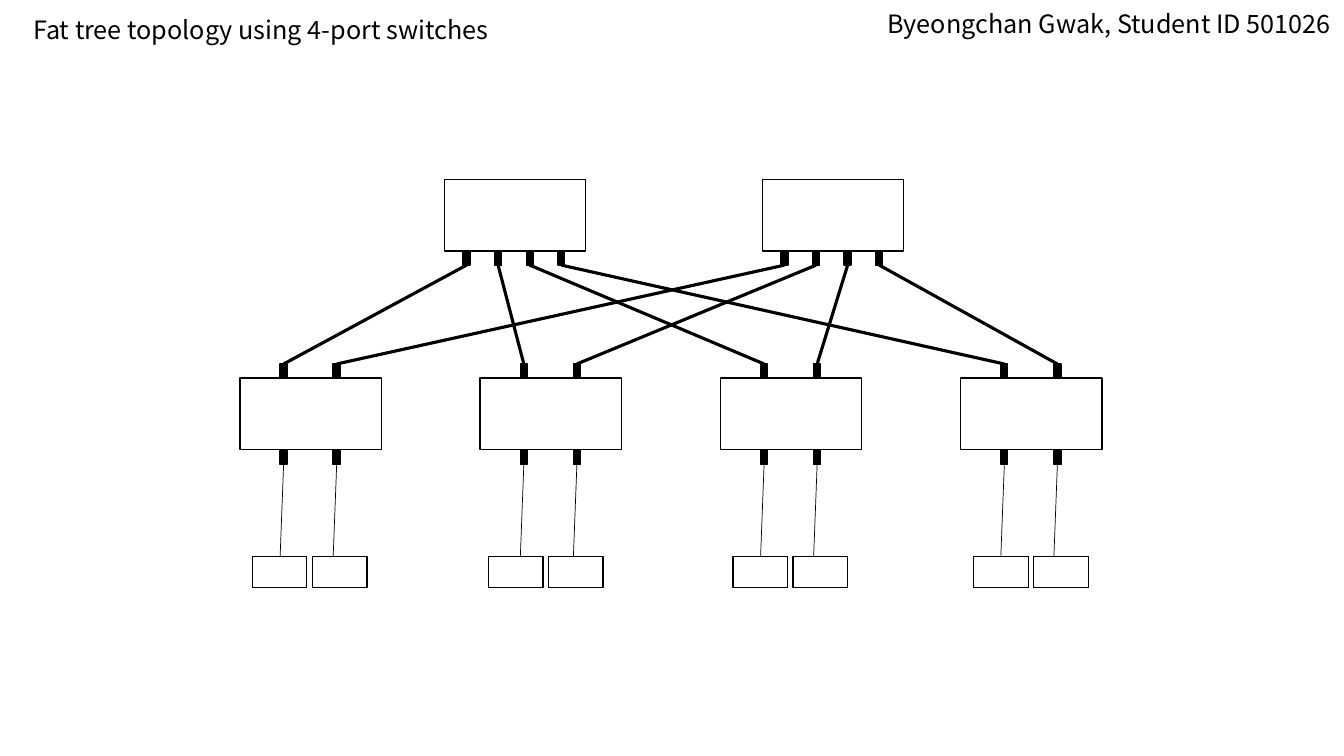
"""Draws a fat tree topology of 4-port switches as one slide."""
from lxml import etree
from pptx import Presentation
from pptx import util as u
from pptx.dml.color import RGBColor
from pptx.enum import shapes, text
from pptx.oxml.ns import qn

FONT = "Noto Sans CJK KR"
BLACK, WHITE = "000000", "FFFFFF"
CAPTIONS = [
    ("Fat tree topology using 4-port switches", (16.6, 6.5, 442.8, 29), text.PP_ALIGN.LEFT),
    ("Byeongchan Gwak, Student ID 501026", (614.2, 2.2, 343.4, 29), text.PP_ALIGN.RIGHT),
]
SWITCH = (101, 51.2)
PORT = (5, 10)
HOST = (39, 22.4)
CORES = [317.4, 544.5]
EDGES = [171.4 + 171.6 * pod for pod in range(4)]
HOST_PAIRS = [180.2, 349, 523.6, 695.5]
CORE_TOP, EDGE_TOP, HOST_TOP = 128.2, 270, 397.4
CORE_PORT_INSET, CORE_PORT_STEP = 13.3, 22.6
EDGE_PORT_INSET, EDGE_PORT_STEP = 28.7, 37.9
HOST_STEP = 42.9
HOST_LINK_SLANT = -2.5


def colour(hex_string):
    return RGBColor.from_string(hex_string)


def add_box(slide, left, top, size, fill):
    box = slide.shapes.add_shape(
        shapes.MSO_SHAPE.RECTANGLE, *map(u.Pt, (left, top, *size)))
    box.shadow.inherit = False
    box.fill.solid()
    box.fill.fore_color.rgb = colour(fill)
    box.line.color.rgb = colour(BLACK)
    box.line.width = u.Pt(1)


def add_link(slide, start, end, width):
    link = slide.shapes.add_connector(
        shapes.MSO_CONNECTOR.STRAIGHT, *map(u.Pt, (*start, *end)))
    link.line.color.rgb = colour(BLACK)
    link.line.width = u.Pt(width)
    etree.SubElement(link._element.spPr, qn("a:effectLst"))


def add_caption(slide, wording, place, align):
    caption = slide.shapes.add_textbox(*map(u.Pt, place))
    caption.text_frame.word_wrap = True
    caption.text_frame.text = wording
    paragraph = caption.text_frame.paragraphs[0]
    paragraph.alignment = align
    font = paragraph.runs[0].font
    font.name, font.size = FONT, u.Pt(18)
    font.color.rgb = colour(BLACK)


def main():
    deck = Presentation()
    deck.slide_width, deck.slide_height = u.Pt(960), u.Pt(540)
    slide = deck.slides.add_slide(deck.slide_layouts[6])

    for caption in CAPTIONS:
        add_caption(slide, *caption)

    core_ports = [[left + CORE_PORT_INSET + CORE_PORT_STEP * port for port in range(4)]
                  for left in CORES]
    edge_ports = [[left + EDGE_PORT_INSET + EDGE_PORT_STEP * port for port in range(2)]
                  for left in EDGES]
    downlink_top = CORE_TOP + SWITCH[1]
    uplink_top = EDGE_TOP - PORT[1]
    host_port_top = EDGE_TOP + SWITCH[1] + 0.5
    centre = PORT[0] / 2

    for left, ports in zip(CORES, core_ports):
        add_box(slide, left, CORE_TOP, SWITCH, WHITE)
        for port in ports:
            add_box(slide, port, downlink_top, PORT, BLACK)

    for left, ports, first_host in zip(EDGES, edge_ports, HOST_PAIRS):
        add_box(slide, left, EDGE_TOP, SWITCH, WHITE)
        for side, port in enumerate(ports):
            add_box(slide, port, uplink_top, PORT, BLACK)
            add_box(slide, port, host_port_top, PORT, BLACK)
            add_box(slide, first_host + HOST_STEP * side, HOST_TOP, HOST, WHITE)
            x = port + centre
            add_link(slide, (x, host_port_top + PORT[1]), (x + HOST_LINK_SLANT, HOST_TOP), 0.5)

    for core, ports in enumerate(core_ports):
        for pod, port in enumerate(ports):
            add_link(slide, (port + centre, downlink_top + PORT[1]),
                     (edge_ports[pod][core] + centre, uplink_top), 2.25)

    deck.save("out.pptx")


if __name__ == "__main__":
    main()
